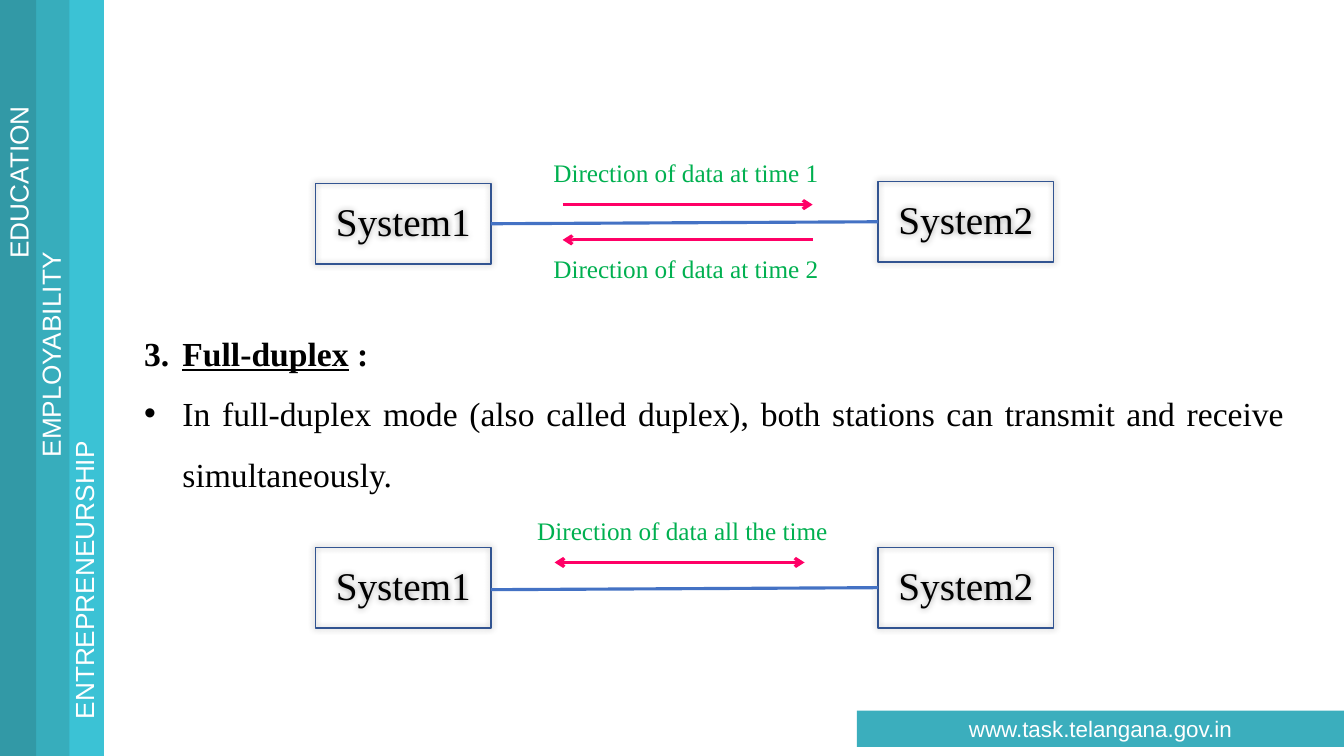
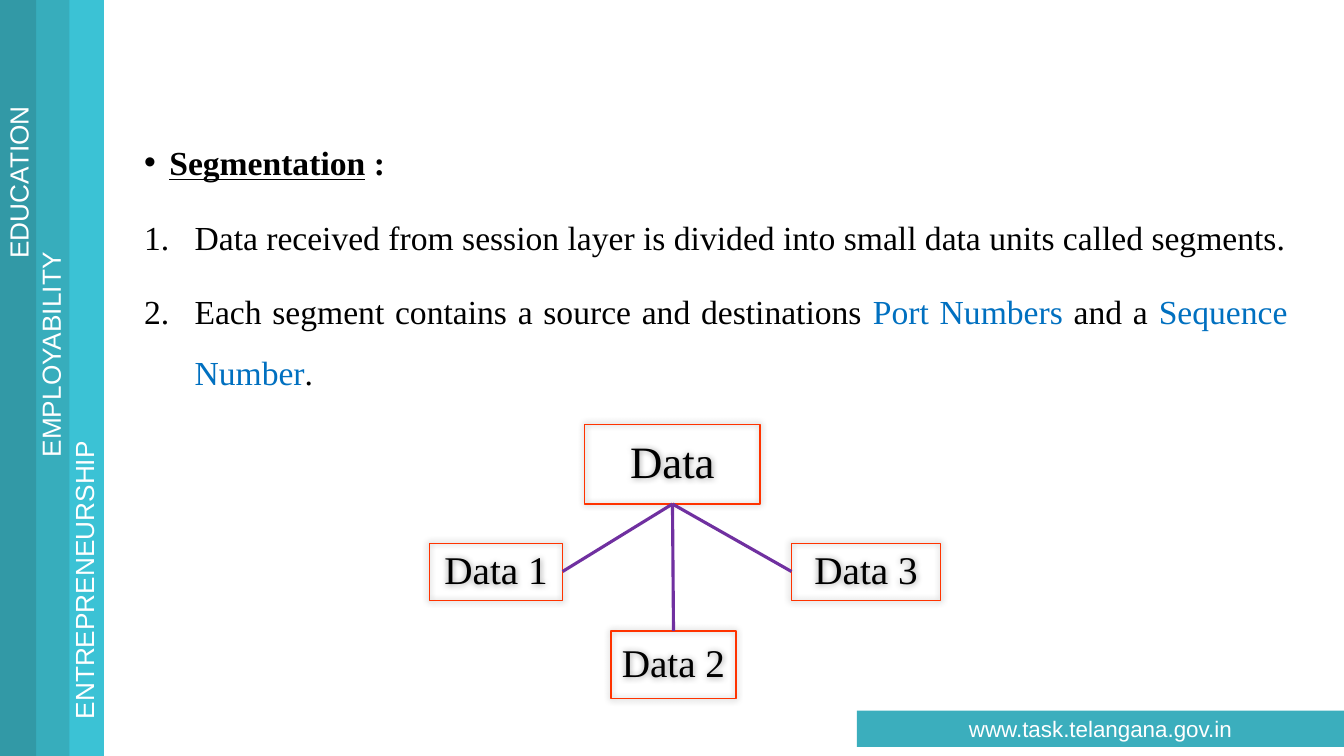
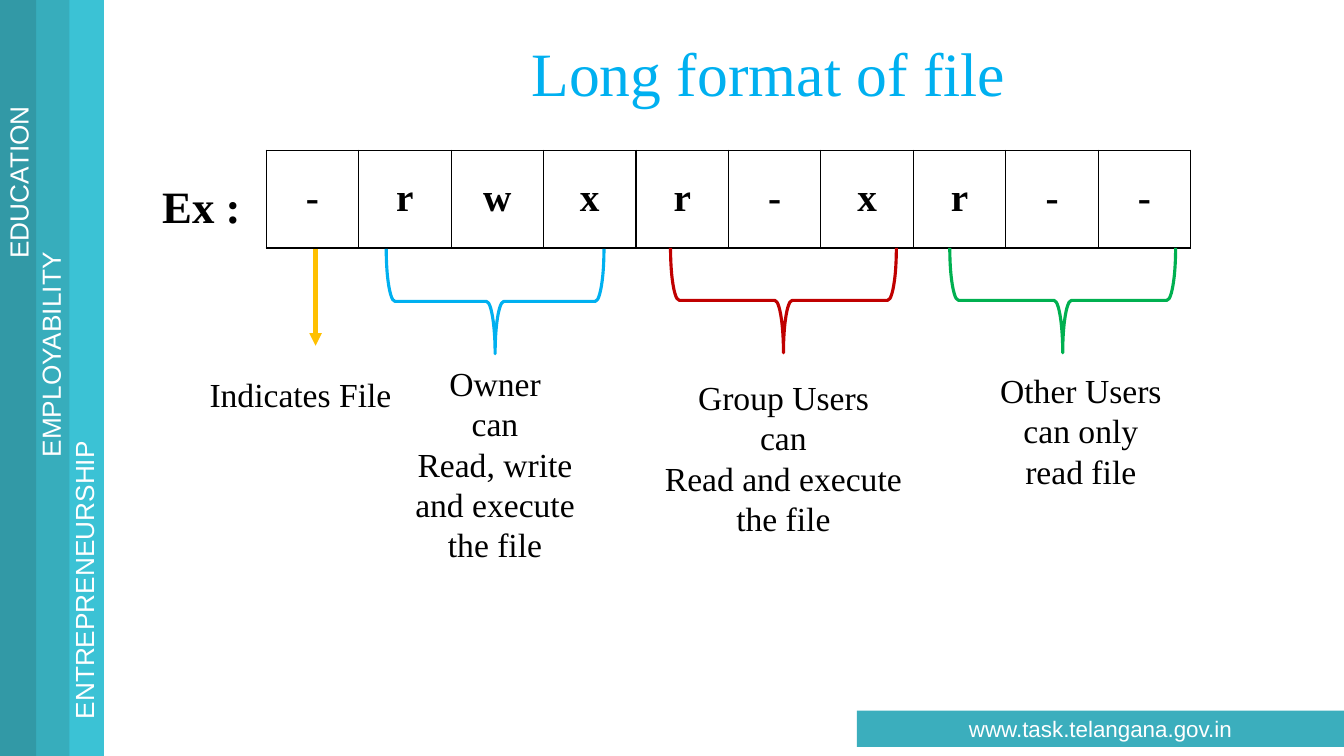
from lxml.etree import SubElement
from pptx import Presentation
from pptx.dml.color import RGBColor
from pptx.enum.shapes import MSO_CONNECTOR, MSO_SHAPE
from pptx.enum.text import MSO_ANCHOR, MSO_AUTO_SIZE, PP_ALIGN
from pptx.oxml.ns import qn
from pptx.util import Pt

EMU_PER_PX = 9144  # 100 px to the inch
SLIDE_WIDTH, SLIDE_HEIGHT = 1333, 750

SANS, SERIF = "Arial", "Times New Roman"
WHITE, BLACK = "FFFFFF", "000000"
TEAL_DARK, TEAL, TEAL_LIGHT, FOOTER_TEAL = "3299A6", "37ADBC", "3BC2D5", "3BAEBD"
NAVY, BLUE, LINK_BLUE, SKY = "325491", "4472C4", "0070C0", "00B0F0"
GREEN, PINK, ORANGE, PURPLE = "00B050", "FF0066", "FF3300", "7030A0"
RED, AMBER = "C00000", "FFC000"

CONTENT_LAYOUT, TITLE_LAYOUT = 1, 5


def px(length):
    return round(length * EMU_PER_PX)


def px_box(box):
    return [px(length) for length in box]


def rgb(colour):
    return RGBColor.from_string(colour)


def write(shape, *paragraphs, font=SERIF, size=24, colour=BLACK, bold=False,
          align=PP_ALIGN.LEFT, line_spacing=1.0, space_before=0,
          anchor=MSO_ANCHOR.TOP, wrap=True):
    """Fill a shape; a paragraph is a string or a list of strings and (text, overrides)."""
    frame = shape.text_frame
    if hasattr(frame, "auto_size") and hasattr(shape, "shape_id"):
        frame.auto_size = MSO_AUTO_SIZE.NONE
        frame.word_wrap = wrap
        frame.vertical_anchor = anchor
    for index, runs in enumerate(paragraphs):
        paragraph = frame.add_paragraph() if index else frame.paragraphs[0]
        paragraph.alignment = align
        paragraph.line_spacing = line_spacing
        paragraph.space_before = Pt(space_before if index else 0)
        for part in [runs] if isinstance(runs, str) else runs:
            text, overrides = (part, {}) if isinstance(part, str) else part
            run = paragraph.add_run()
            run.text = text
            run.font.name = font
            run.font.size = Pt(size)
            run.font.bold = overrides.get("bold", bold)
            run.font.underline = overrides.get("underline", False)
            run.font.color.rgb = rgb(overrides.get("colour", colour))
    return frame.paragraphs


def set_bullet(paragraph, indent, number=None):
    """Give a paragraph a hanging dot, or a number when one is passed."""
    properties = paragraph._p.get_or_add_pPr()
    properties.set("marL", str(px(indent)))
    properties.set("indent", str(-px(indent)))
    SubElement(properties, qn("a:buFont"), typeface=SERIF if number else SANS)
    if number:
        SubElement(properties, qn("a:buAutoNum"), type="arabicPeriod", startAt=str(number))
    else:
        SubElement(properties, qn("a:buChar"), char="•")


def add_preset(slide, kind, box, fill=None, line=None, line_width=1, rotation=0):
    shape = slide.shapes.add_shape(kind, *px_box(box))
    shape.rotation = rotation
    shape.shadow.inherit = False
    if fill:
        shape.fill.solid()
        shape.fill.fore_color.rgb = rgb(fill)
    else:
        shape.fill.background()
    if line:
        shape.line.color.rgb = rgb(line)
        shape.line.width = Pt(line_width)
    else:
        shape.line.fill.background()
    return shape


def add_text(slide, box, *paragraphs, rotation=0, **text_format):
    shape = slide.shapes.add_textbox(*px_box(box))
    shape.rotation = rotation
    write(shape, *paragraphs, **text_format)


def add_glow_box(slide, box, text, line, size=28):
    """Add an outlined, unfilled box with a soft shadow all round."""
    shape = add_preset(slide, MSO_SHAPE.RECTANGLE, box, line=line)
    effects = shape._element.spPr.find(qn("a:effectLst"))
    shadow = SubElement(effects, qn("a:outerShdw"), blurRad=str(Pt(5)), dist="0",
                        dir="0", algn="ctr", rotWithShape="0")
    shadow_colour = SubElement(shadow, qn("a:srgbClr"), val=BLACK)
    SubElement(shadow_colour, qn("a:alpha"), val="40000")
    write(shape, text, size=size, align=PP_ALIGN.CENTER, line_spacing=0.9,
          anchor=MSO_ANCHOR.MIDDLE, wrap=False)


def add_line(slide, start, end, colour, width=2.25, head=None, tail=None):
    """Draw a line; head and tail name the arrowheads at its start and end."""
    connector = slide.shapes.add_connector(
        MSO_CONNECTOR.STRAIGHT, *px_box(start), *px_box(end))
    connector.line.color.rgb = rgb(colour)
    connector.line.width = Pt(width)
    properties = connector._element.spPr
    for tag, arrow in (("a:headEnd", head), ("a:tailEnd", tail)):
        if arrow:
            SubElement(properties.find(qn("a:ln")), qn(tag), type=arrow)
    SubElement(properties, qn("a:effectLst"))


def set_borders(cell, colour, width):
    properties = cell._tc.get_or_add_tcPr()
    for side in ("L", "R", "T", "B"):
        border = SubElement(properties, qn(f"a:ln{side}"), w=str(Pt(width)))
        fill = SubElement(border, qn("a:solidFill"))
        SubElement(fill, qn("a:srgbClr"), val=colour)


def add_letter_row(slide, box, letters):
    frame = slide.shapes.add_table(1, len(letters), *px_box(box))
    table = frame.table
    table.first_row = table.horz_banding = False
    for column, letter in enumerate(letters):
        table.columns[column].width = px(box[2] / len(letters))
        cell = table.cell(0, column)
        set_borders(cell, BLACK, 1)
        cell.fill.background()
        write(cell, letter, size=28, bold=True, align=PP_ALIGN.CENTER, line_spacing=1.5)


def place(placeholder, box):
    placeholder.left, placeholder.top, placeholder.width, placeholder.height = px_box(box)
    return placeholder


def add_body(slide, box, *items, space_before=0):
    """Fill the body placeholder with (indent, number, runs) items."""
    body = place(slide.placeholders[1], box)
    paragraphs = write(body, *[runs for _, _, runs in items], align=PP_ALIGN.JUSTIFY,
                       line_spacing=1.5, space_before=space_before)
    for paragraph, (indent, number, _) in zip(paragraphs, items):
        set_bullet(paragraph, indent, number)


def heading(text):
    return [(text, {"bold": True, "underline": True}), (" :", {"bold": True})]


def new_slide(presentation, layout):
    """Add a slide with the side bands, their labels and the footer."""
    slide = presentation.slides.add_slide(presentation.slide_layouts[layout])
    for left, colour in ((67, TEAL_LIGHT), (33, TEAL), (0, TEAL_DARK)):
        add_preset(slide, MSO_SHAPE.RECTANGLE, (left, 0, 36, SLIDE_HEIGHT), fill=colour)
    for label, box in (("EDUCATION", (-68, 159, 173, 42)),
                       ("EMPLOYABILITY", (-62, 330, 225, 42)),
                       ("ENTREPRENEURSHIP", (-66, 553, 299, 42))):
        add_text(slide, box, label, rotation=270, font=SANS, size=18.7,
                 colour=WHITE, wrap=False)
    footer = add_preset(slide, MSO_SHAPE.RECTANGLE, (850, 705, 483, 36), fill=FOOTER_TEAL)
    write(footer, "www.task.telangana.gov.in", font=SANS, size=16, colour=WHITE,
          align=PP_ALIGN.CENTER)
    return slide


def remove_title(slide):
    title = slide.shapes.title._element
    title.getparent().remove(title)


def add_system_pair(slide, left_top, right_top):
    """Add two linked system boxes."""
    width, height = 174, 80
    add_glow_box(slide, (313, left_top, width, height), "System1", NAVY)
    add_glow_box(slide, (871, right_top, width, height), "System2", NAVY)
    link_top = right_top + height / 2
    add_line(slide, (313 + width, link_top + 2), (871, link_top), BLUE)


def build_duplex_slide(presentation):
    slide = new_slide(presentation, CONTENT_LAYOUT)
    remove_title(slide)
    add_body(slide, (133, 305, 1151, 233),
             (38, 3, heading("Full-duplex")),
             (38, None, "In full-duplex mode (also called duplex), both stations can "
                        "transmit and receive simultaneously."))
    add_system_pair(slide, 182, 180)
    add_system_pair(slide, 543, 543)
    for left, top, head, tail in ((558, 203, None, "arrow"),
                                  (558, 238, "arrow", None),
                                  (550, 558, "arrow", "arrow")):
        add_line(slide, (left, top), (left + 248, top), PINK, head=head, tail=tail)
    for left, top, width, label in ((539, 151, 286, "Direction of data at time 1"),
                                    (539, 246, 286, "Direction of data at time 2"),
                                    (523, 506, 318, "Direction of data all the time")):
        add_text(slide, (left, top, width, 40), label, size=18, colour=GREEN)


def build_segmentation_slide(presentation):
    slide = new_slide(presentation, CONTENT_LAYOUT)
    remove_title(slide)
    add_body(slide, (133, 116, 1154, 585),
             (25, None, heading("Segmentation")),
             (50, 1, "Data received from session layer is divided into small data "
                     "units called segments."),
             (50, 2, ["Each segment contains a source and destinations ",
                      ("Port Numbers", {"colour": LINK_BLUE}), " and a ",
                      ("Sequence Number", {"colour": LINK_BLUE}), "."]),
             space_before=10)
    add_glow_box(slide, (580, 421, 174, 79), "Data", ORANGE, size=32)
    for label, box, joint in (("Data 1", (426, 539, 132, 57), (558, 567)),
                              ("Data 2", (606, 626, 124, 67), (668, 626)),
                              ("Data 3", (785, 539, 148, 57), (785, 567))):
        add_glow_box(slide, box, label, ORANGE)
        add_line(slide, (667, 500), joint, PURPLE)


def build_file_format_slide(presentation):
    slide = new_slide(presentation, TITLE_LAYOUT)
    write(place(slide.shapes.title, (345, 18, 835, 115)), "Long format of file",
          size=44, colour=SKY, align=PP_ALIGN.CENTER, line_spacing=0.9,
          anchor=MSO_ANCHOR.MIDDLE)
    add_letter_row(slide, (264, 149, 917, 97), "-rwxr-xr--")
    for box, colour in (((439, 191, 104, 216), SKY),
                        ((725, 186, 104, 224), RED),
                        ((1002, 186, 104, 224), GREEN)):
        add_preset(slide, MSO_SHAPE.RIGHT_BRACE, box, line=colour, line_width=2.25,
                   rotation=90)
    for box, lines in (
            ((393, 355, 196, 212), ["Owner", "can", "Read, write and execute the file"]),
            ((642, 369, 270, 212), ["Group Users", "can", "Read and execute", "the file"]),
            ((974, 362, 196, 131), ["Other Users can only read file"])):
        add_text(slide, box, *lines, align=PP_ALIGN.CENTER)
    add_line(slide, (313, 247), (313, 343), AMBER, width=3, tail="triangle")
    add_text(slide, (198, 326, 216, 79), "Indicates File", line_spacing=2.0)
    add_text(slide, (151, 119, 142, 101), "Ex :", size=32, bold=True, line_spacing=2.0)


def main():
    presentation = Presentation()
    presentation.slide_width = px(SLIDE_WIDTH)
    presentation.slide_height = px(SLIDE_HEIGHT)
    build_duplex_slide(presentation)
    build_segmentation_slide(presentation)
    build_file_format_slide(presentation)
    presentation.save("out.pptx")


if __name__ == "__main__":
    main()
